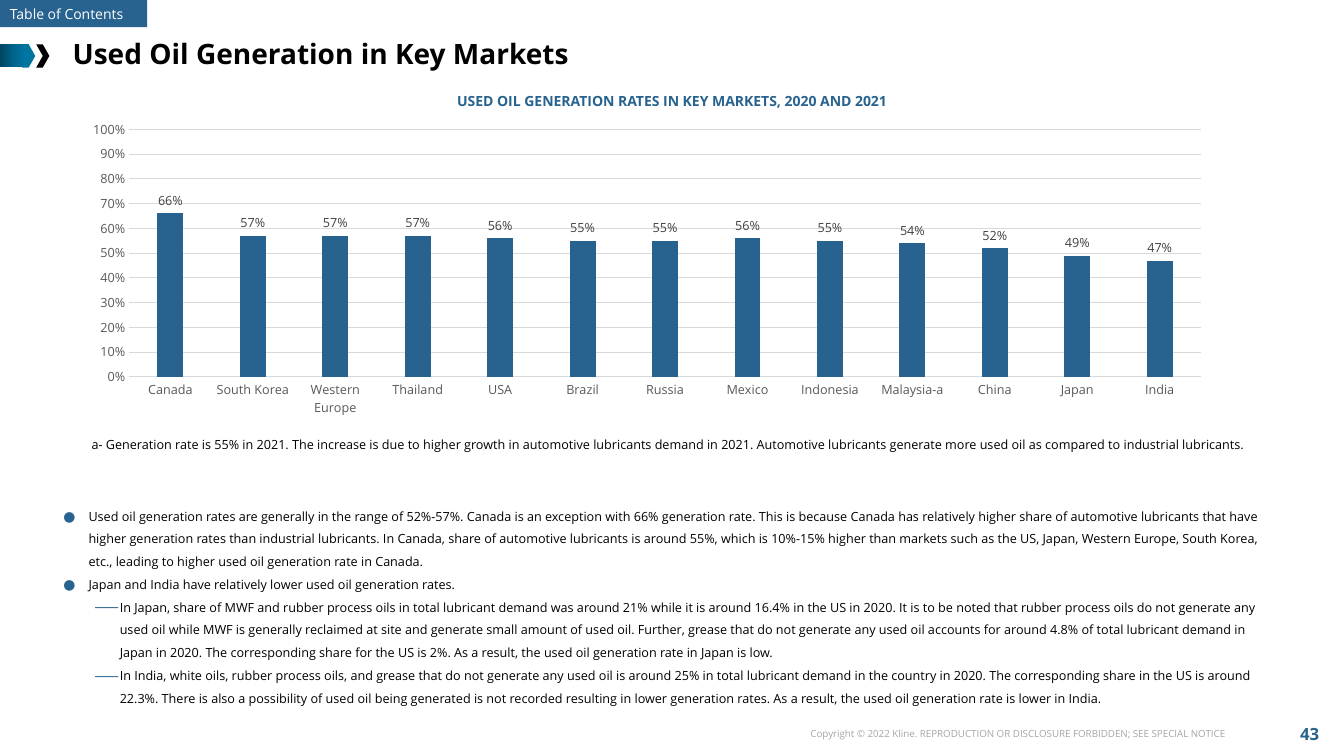
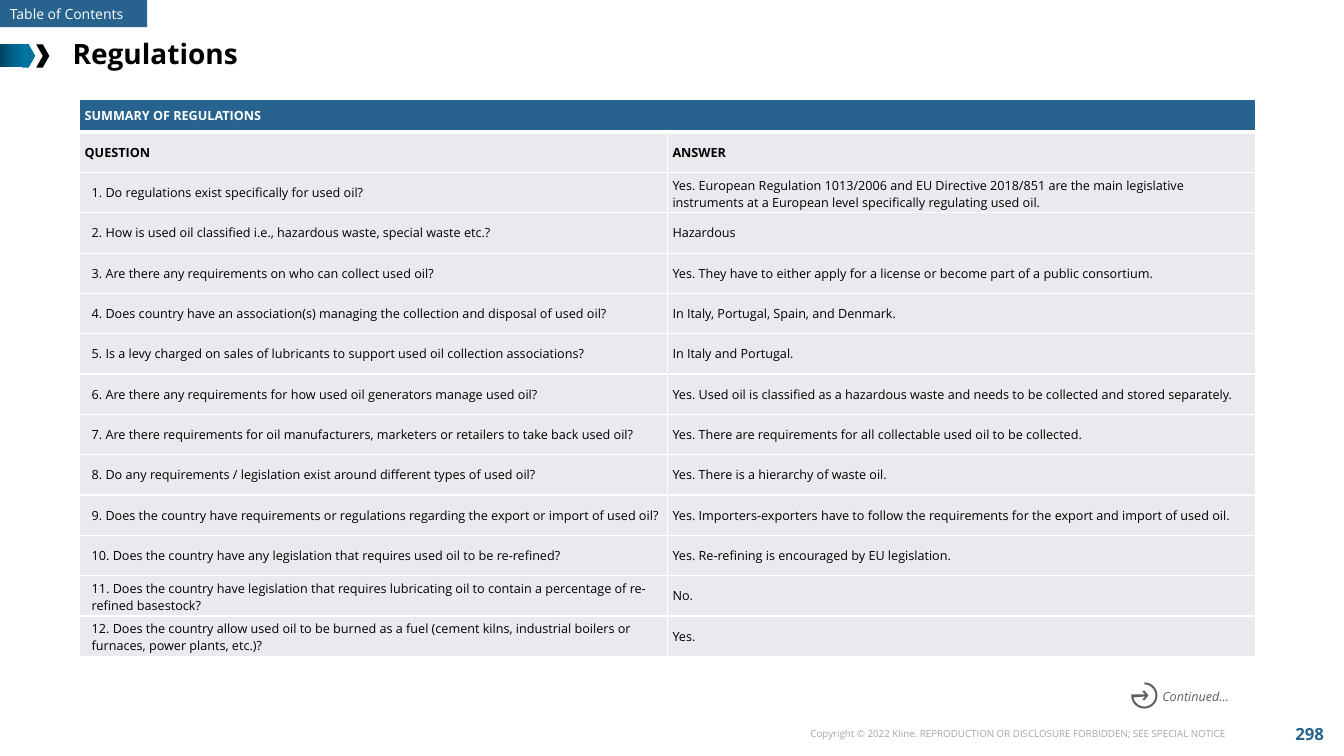
"""Build two slides on used oil: generation rates by market and a summary of regulations."""
from math import cos, radians, sin

from lxml import etree
from pptx import Presentation
from pptx.chart.data import CategoryChartData
from pptx.dml.color import RGBColor
from pptx.enum.chart import XL_CHART_TYPE as CT, XL_LABEL_POSITION as LP, XL_TICK_MARK as TM
from pptx.enum.shapes import MSO_SHAPE as SHAPE
from pptx.enum.text import MSO_ANCHOR as ANCHOR, PP_ALIGN as ALIGN
from pptx.oxml import parse_xml
from pptx.oxml.ns import nsdecls, qn
from pptx.util import Inches, Pt

FONT = "Open Sans"
COLORS = {
    "blue": "27638E", "black": "000000", "white": "FFFFFF", "cell": "E8EAEE",
    "teal": "00759E", "footer": "A6A6A6", "grid": "D9D9D9", "axis": "595959",
    "label": "404040", "continued": "606060",
}
BAND_STOPS = [(0, "004461"), (50, "00668E"), (100, "007BAA")]
NAV_TEXT = "Table of Contents"
COPYRIGHT = "Copyright © 2022 Kline. REPRODUCTION OR DISCLOSURE FORBIDDEN; SEE SPECIAL NOTICE"

CHART_TITLE = "USED OIL GENERATION RATES IN KEY MARKETS, 2020 AND 2021"
RATES = [
    ("Canada", 0.66), ("South Korea", 0.57), ("Western Europe", 0.57), ("Thailand", 0.57),
    ("USA", 0.56), ("Brazil", 0.55), ("Russia", 0.55), ("Mexico", 0.56), ("Indonesia", 0.55),
    ("Malaysia-a", 0.54), ("China", 0.52), ("Japan", 0.49), ("India", 0.47),
]
CHART_NOTE = (
    "a- Generation rate is 55% in 2021. The increase is due to higher growth in automotive "
    "lubricants demand in 2021. Automotive lubricants generate more used oil as compared to "
    "industrial lubricants."
)
BULLETS = [
    (0, "Used oil generation rates are generally in the range of 52%-57%. Canada is an exception "
        "with 66% generation rate. This is because Canada has relatively higher share of automotive "
        "lubricants that have higher generation rates than industrial lubricants. In Canada, share "
        "of automotive lubricants is around 55%, which is 10%-15% higher than markets such as the "
        "US, Japan, Western Europe, South Korea, etc., leading to higher used oil generation rate "
        "in Canada."),
    (0, "Japan and India have relatively lower used oil generation rates."),
    (1, "In Japan, share of MWF and rubber process oils in total lubricant demand was around 21% "
        "while it is around 16.4% in the US in 2020. It is to be noted that rubber process oils do "
        "not generate any used oil while MWF is generally reclaimed at site and generate small "
        "amount of used oil. Further, grease that do not generate any used oil accounts for around "
        "4.8% of total lubricant demand in Japan in 2020. The corresponding share for the US is 2%. "
        "As a result, the used oil generation rate in Japan is low."),
    (1, "In India, white oils, rubber process oils, and grease that do not generate any used oil is "
        "around 25% in total lubricant demand in the country in 2020. The corresponding share in "
        "the US is around 22.3%. There is also a possibility of used oil being generated is not "
        "recorded resulting in lower generation rates. As a result, the used oil generation rate "
        "is lower in India."),
]
BULLET_STYLES = [("●", 0.25, 110), ("⸺", 0.56, 100)]

TABLE_TITLE = "SUMMARY OF REGULATIONS"
TABLE_HEAD = ("QUESTION", "ANSWER")
REGULATIONS = [
    ("Do regulations exist specifically for used oil?",
     "Yes. European Regulation 1013/2006 and EU Directive 2018/851 are the main legislative "
     "instruments at a European level specifically regulating used oil."),
    ("How is used oil classified i.e., hazardous waste, special waste etc.?", "Hazardous"),
    ("Are there any requirements on who can collect used oil?",
     "Yes. They have to either apply for a license or become part of a public consortium."),
    ("Does country have an association(s) managing the collection and disposal of used oil?",
     "In Italy, Portugal, Spain, and Denmark."),
    ("Is a levy charged on sales of lubricants to support used oil collection associations?",
     "In Italy and Portugal."),
    ("Are there any requirements for how used oil generators manage used oil?",
     "Yes. Used oil is classified as a hazardous waste and needs to be collected and stored "
     "separately."),
    ("Are there requirements for oil manufacturers, marketers or retailers to take back used oil?",
     "Yes. There are requirements for all collectable used oil to be collected."),
    ("Do any requirements / legislation exist around different types of used oil?",
     "Yes. There is a hierarchy of waste oil."),
    ("Does the country have requirements or regulations regarding the export or import of used oil?",
     "Yes. Importers-exporters have to follow the requirements for the export and import of used "
     "oil."),
    ("Does the country have any legislation that requires used oil to be re-refined?",
     "Yes. Re-refining is encouraged by EU legislation."),
    ("Does the country have legislation that requires lubricating oil to contain a percentage of "
     "re-refined basestock?", "No."),
    ("Does the country allow used oil to be burned as a fuel (cement kilns, industrial boilers or "
     "furnaces, power plants, etc.)?", "Yes."),
]


def rgb(name):
    return RGBColor.from_string(COLORS[name])


def style_font(font, size, color, bold=False, italic=False):
    font.name, font.size, font.bold, font.italic = FONT, Pt(size), bold, italic
    font.color.rgb = rgb(color)


def write(p, text, size, color, bold=False, italic=False, align=ALIGN.LEFT):
    p.text = text
    p.alignment = align
    for r in p.runs:
        style_font(r.font, size, color, bold, italic)


def add_text(slide, box, text, size, color, anchor=ANCHOR.TOP, wrap=True, **style):
    tf = slide.shapes.add_textbox(*map(Inches, box)).text_frame
    tf.word_wrap, tf.vertical_anchor = wrap, anchor
    write(tf.paragraphs[0], text, size, color, **style)
    return tf


def paint(sp, color):
    sp.shadow.inherit = False
    sp.line.fill.background()
    sp.fill.solid()
    sp.fill.fore_color.rgb = rgb(color)
    return sp


def add_block(slide, kind, box, color):
    return paint(slide.shapes.add_shape(kind, *map(Inches, box)), color)


def add_base(prs, title, number):
    slide = prs.slides.add_slide(prs.slide_layouts[5])
    band = add_block(slide, SHAPE.RECTANGLE, (0, 0.44, 0.29, 0.23), "teal")
    band.fill.gradient()
    band.fill.gradient_angle = 0
    stops = band._element.spPr.find(qn("a:gradFill")).find(qn("a:gsLst"))
    stops.clear()
    for position, color in BAND_STOPS:
        gs = etree.SubElement(stops, qn("a:gs"), pos=str(position * 1000))
        etree.SubElement(gs, qn("a:srgbClr"), val=color)
    add_block(slide, SHAPE.CHEVRON, (0.22, 0.44, 0.13, 0.23), "teal")
    add_block(slide, SHAPE.CHEVRON, (0.36, 0.44, 0.13, 0.23), "black")

    nav = add_block(slide, SHAPE.RECTANGLE, (0, 0, 1.46, 0.27), "blue").text_frame
    nav.word_wrap = False
    write(nav.paragraphs[0], NAV_TEXT, 10, "white")

    sp = slide.shapes.title
    sp.left, sp.top, sp.width, sp.height = map(Inches, (0.62, 0.31, 12, 0.44))
    sp.text_frame.vertical_anchor = ANCHOR.MIDDLE
    write(sp.text_frame.paragraphs[0], title, 20, "black", bold=True)

    add_text(slide, (7.71, 7.17, 4.54, 0.22), COPYRIGHT, 7, "footer", wrap=False, align=ALIGN.RIGHT)
    add_text(slide, (12.68, 7.07, 0.62, 0.43), str(number), 12, "blue", ANCHOR.MIDDLE,
             bold=True, align=ALIGN.CENTER)
    return slide


def add_rates_chart(slide):
    data = CategoryChartData(number_format="0%")
    data.categories = [market for market, _ in RATES]
    data.add_series("Series 1", [rate for _, rate in RATES])
    box = map(Inches, (0.71, 1.13, 11.43, 3.07))
    chart = slide.shapes.add_chart(CT.COLUMN_CLUSTERED, *box, data).chart
    chart.has_title = chart.has_legend = False
    style_font(chart.font, 10, "black")

    plot = chart.plots[0]
    plot.gap_width, plot.overlap, plot.vary_by_categories = 219, -27, False
    fill = plot.series[0].format.fill
    fill.solid()
    fill.fore_color.rgb = rgb("blue")
    plot.has_data_labels = True
    labels = plot.data_labels
    labels.show_value, labels.position = True, LP.OUTSIDE_END
    labels.number_format, labels.number_format_is_linked = "0%", False
    style_font(labels.font, 9, "label")

    cat, val = chart.category_axis, chart.value_axis
    for axis in (cat, val):
        axis.major_tick_mark = axis.minor_tick_mark = TM.NONE
        style_font(axis.tick_labels.font, 9, "axis")
    val.minimum_scale, val.maximum_scale, val.major_unit = 0, 1, 0.1
    val.tick_labels.number_format, val.tick_labels.number_format_is_linked = "0%", False
    val.format.line.fill.background()
    for line in (cat.format.line, val.major_gridlines.format.line):
        line.color.rgb, line.width = rgb("grid"), Pt(0.75)

    area = chart._chartSpace.chart.plotArea
    for old in area.findall(qn("c:layout")):
        area.remove(old)
    area.insert(0, parse_xml(
        f'<c:layout {nsdecls("c")}><c:manualLayout><c:layoutTarget val="inner"/>'
        '<c:xMode val="edge"/><c:yMode val="edge"/><c:x val="0.05"/><c:y val="0.05"/>'
        '<c:w val="0.93"/><c:h val="0.8"/></c:manualLayout></c:layout>'))


def add_bullets(slide):
    tf = slide.shapes.add_textbox(*map(Inches, (0.53, 4.92, 12.2, 2.12))).text_frame
    tf.word_wrap = True
    for i, (level, text) in enumerate(BULLETS):
        p = tf.add_paragraph() if i else tf.paragraphs[0]
        char, margin, size = BULLET_STYLES[level]
        p.level, p.line_spacing = level, 1.5
        pPr = p._p.get_or_add_pPr()
        pPr.set("marL", str(Inches(margin)))
        pPr.set("indent", str(Inches(-0.25)))
        color = etree.SubElement(pPr, qn("a:buClr"))
        etree.SubElement(color, qn("a:srgbClr"), val=COLORS["blue"])
        etree.SubElement(pPr, qn("a:buSzPct"), val=str(size * 1000))
        etree.SubElement(pPr, qn("a:buFont"), typeface=FONT)
        etree.SubElement(pPr, qn("a:buChar"), char=char)
        write(p, text, 9, "black")


def format_cell(cell, text, fill, color, bold, margins, top=1, bottom=1):
    cell.vertical_anchor = ANCHOR.MIDDLE
    cell.margin_left, cell.margin_top, cell.margin_right, cell.margin_bottom = map(Inches, margins)
    write(cell.text_frame.paragraphs[0], text, 9, color, bold)
    cell.fill.solid()
    cell.fill.fore_color.rgb = rgb(fill)
    tcPr = cell._tc.get_or_add_tcPr()
    for i, (side, width) in enumerate(zip("LRTB", (1, 1, top, bottom))):
        tcPr.insert(i, parse_xml(
            f'<a:ln{side} {nsdecls("a")} w="{Pt(width)}"><a:solidFill>'
            f'<a:srgbClr val="{COLORS["white"]}"/></a:solidFill></a:ln{side}>'))


def add_regulations_table(slide):
    questions = [(f"{n}. {q}", answer) for n, (q, answer) in enumerate(REGULATIONS, 1)]
    rows = [(TABLE_TITLE, ""), TABLE_HEAD, *questions]
    box = map(Inches, (0.79, 0.99, 11.66, 5.52))
    table = slide.shapes.add_table(len(rows), 2, *box).table
    table.first_row = table.horz_banding = False
    table.cell(0, 0).merge(table.cell(0, 1))
    for r, row in enumerate(rows):
        table.rows[r].height = Inches(0.4 if r else 0.32)
        for c, text in enumerate(row):
            is_question = r > 1 and c == 0
            format_cell(table.cell(r, c), text, "cell" if r else "blue", "black" if r else "white",
                        r < 2, (0.12, 0.04, 0.04, 0.04) if is_question else (0.05,) * 4,
                        top=3 if r == 1 else 1, bottom=1 if r else 3)


def add_continued(slide):
    cx, cy, outer, inner = 11.35, 6.9, 0.13, 0.11

    def arc(radius, angles):
        return [(cx + radius * cos(radians(a)), cy + radius * sin(radians(a))) for a in angles]

    arrow = [(11.22, 6.89), (11.36, 6.89), (11.33, 6.86), (11.35, 6.85), (11.39, 6.9),
             (11.35, 6.95), (11.33, 6.94), (11.36, 6.91)]
    points = arc(outer, range(-90, 171, 10)) + arrow + arc(inner, range(170, -91, -10))
    outline = [(Inches(x), Inches(y)) for x, y in points]
    builder = slide.shapes.build_freeform(*outline[0])
    builder.add_line_segments(outline[1:], close=True)
    paint(builder.convert_to_shape(), "continued")
    add_text(slide, (11.43, 6.77, 0.98, 0.27), "Continued…", 9, "continued", ANCHOR.MIDDLE,
             italic=True)


def main():
    prs = Presentation()
    prs.slide_width, prs.slide_height = Inches(13.33), Inches(7.5)

    slide = add_base(prs, "Used Oil Generation in Key Markets", 43)
    add_rates_chart(slide)
    add_text(slide, (2.93, 0.87, 7.47, 0.27), CHART_TITLE, 10, "blue", bold=True,
             align=ALIGN.CENTER)
    add_bullets(slide)
    add_text(slide, (0.81, 4.29, 11.99, 0.4), CHART_NOTE, 9, "black")

    slide = add_base(prs, "Regulations", 298)
    add_regulations_table(slide)
    add_continued(slide)

    prs.save("out.pptx")


if __name__ == "__main__":
    main()
